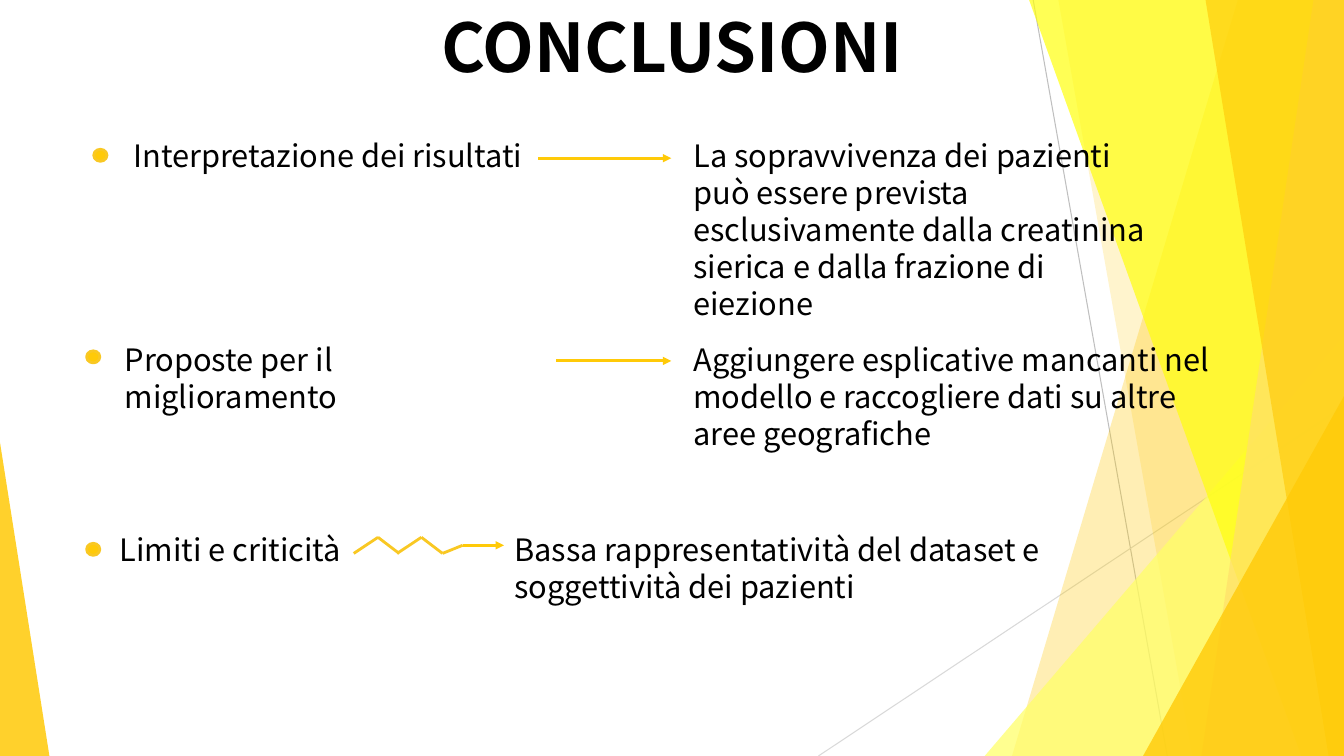
from lxml.etree import SubElement
from pptx import Presentation
from pptx.dml.color import RGBColor
from pptx.enum.shapes import MSO_CONNECTOR, MSO_SHAPE
from pptx.enum.text import MSO_ANCHOR, MSO_AUTO_SIZE, PP_ALIGN
from pptx.oxml.ns import qn
from pptx.util import Pt

BLACK = RGBColor(0, 0, 0)
WHITE = RGBColor(0xFF, 0xFF, 0xFF)
GOLD = RGBColor(0xFF, 0xCA, 0x08)
AMBER = RGBColor(0xF9, 0xC8, 0x23)
SAND = RGBColor(0xFF, 0xDF, 0x6B)
LEMON = RGBColor(0xFF, 0xFF, 0x66)
YELLOW = RGBColor(0xFF, 0xFF, 0x0D)
GREY = RGBColor(0xBF, 0xBF, 0xBF)
PALE_GREY = RGBColor(0xD9, 0xD9, 0xD9)
FONT = "Noto Sans CJK KR"
WIDTH, HEIGHT = 960, 540

# Slanted bands: top left x, bottom left x, colour, opacity in percent
BACK_BANDS = [(884.2, 722.9, GOLD, 30), (756, 851.8, GOLD, 20)]
FRONT_BANDS = [
    (735.1, 929.5, YELLOW, 70),
    (938.2, 858.2, SAND, 70),
    (861.1, 949, GOLD, 65),
]
# Text, left, top, width, height
TEXTS = [
    ("Interpretazione dei risultati", 88.3, 94.3, 296, 34),
    ("La sopravvivenza dei pazienti può essere prevista esclusivamente "
     "dalla creatinina sierica e dalla frazione di eiezione", 488.2, 94.3, 355.7, 114),
    ("Proposte per il miglioramento", 82, 239.8, 316, 34),
    ("Aggiungere esplicative mancanti nel modello e raccogliere dati "
     "su altre aree geografiche", 488.2, 239.8, 383, 87),
    ("Limiti e criticità", 78.5, 375.8, 185, 34),
    ("Bassa rappresentatività del dataset e soggettività dei pazienti",
     360.3, 375.8, 414, 60.5),
]
BULLETS = [(67, 106.6), (61.9, 250.6), (61.9, 388.1)]
ARROWS = [(384.5, 113, 479.5), (397.4, 257.8, 479.5), (330.5, 389.5, 360)]
ZIGZAG = [
    ((252.7, 395.3), (270, 383.8)),
    ((270, 383.8), (285.1, 395.3)),
    ((283.7, 395.3), (301, 383.8)),
    ((301, 383.8), (316.1, 395.3)),
    ((316.1, 395.3), (330.5, 389.5)),
]


def paint(shape, color, opacity=100):
    shape.shadow.inherit = False
    shape.fill.solid()
    shape.fill.fore_color.rgb = color
    shape.line.fill.background()
    if opacity < 100:
        tint = shape.fill._xPr.find(qn("a:solidFill"))[0]
        SubElement(tint, qn("a:alpha")).set("val", str(opacity * 1000))


def add_band(page, top_x, bottom_x, color, opacity):
    builder = page.shapes.build_freeform(Pt(top_x), 0)
    corners = [(WIDTH, 0), (WIDTH, HEIGHT), (bottom_x, HEIGHT)]
    builder.add_line_segments([(Pt(x), Pt(y)) for x, y in corners])
    paint(builder.convert_to_shape(), color, opacity)


def add_triangle(page, left, width, height, apex, color, opacity):
    """Add a triangle standing on the bottom edge; apex runs from 0 to 1."""
    triangle = page.shapes.add_shape(
        MSO_SHAPE.ISOSCELES_TRIANGLE,
        Pt(left), Pt(HEIGHT - height), Pt(width), Pt(height))
    triangle.adjustments[0] = apex
    paint(triangle, color, opacity)


def add_line(page, start, end, color, weight=2, arrow=False):
    line = page.shapes.add_connector(
        MSO_CONNECTOR.STRAIGHT, *(Pt(value) for value in (*start, *end)))
    line.line.color.rgb = color
    line.line.width = Pt(weight)
    if arrow:
        SubElement(line.line._get_or_add_ln(), qn("a:tailEnd")).set("type", "triangle")
    SubElement(line._element.spPr, qn("a:effectLst"))


def add_bullet(page, left, top):
    dot = page.shapes.add_shape(
        MSO_SHAPE.FLOWCHART_CONNECTOR, Pt(left), Pt(top), Pt(9.4), Pt(8.6))
    paint(dot, GOLD)
    dot.line.color.rgb = AMBER
    dot.line.width = Pt(2)


def write(box, text, size, bold=False, align=PP_ALIGN.LEFT):
    frame = box.text_frame
    frame.word_wrap = True
    frame.auto_size = MSO_AUTO_SIZE.NONE
    frame.vertical_anchor = MSO_ANCHOR.TOP
    para = frame.paragraphs[0]
    para.alignment = align
    span = para.add_run()
    span.text = text
    formats = {"name": FONT, "size": Pt(size), "bold": bold}
    for key, value in formats.items():
        setattr(span.font, key, value)
    span.font.color.rgb = BLACK


def add_title(page, text):
    title = page.shapes.title
    place = {"left": 211.7, "top": 0, "width": 537, "height": 65.5}
    for key, value in place.items():
        setattr(title, key, Pt(value))
    write(title, text, 48, True, PP_ALIGN.CENTER)


def add_text(page, text, *place):
    write(page.shapes.add_textbox(*(Pt(value) for value in place)), text, 22)


def add_backdrop(page):
    page.background.fill.solid()
    page.background.fill.fore_color.rgb = WHITE
    add_line(page, (738, 0), (833.8, HEIGHT), GREY, 0.75)
    add_line(page, (WIDTH, 290.2), (584.6, HEIGHT), PALE_GREY, 0.75)
    for band in BACK_BANDS:
        add_band(page, *band)
    add_triangle(page, 703.4, 256.6, 300.2, 1, LEMON, 72)
    for band in FRONT_BANDS:
        add_band(page, *band)
    add_triangle(page, 816.5, 143.5, 257, 1, GOLD, 80)
    add_triangle(page, 0, 35.3, 223.9, 0, GOLD, 85)


def main():
    deck = Presentation()
    deck.slide_width, deck.slide_height = Pt(WIDTH), Pt(HEIGHT)
    page = deck.slides.add_slide(deck.slide_layouts[5])
    add_backdrop(page)
    add_title(page, "CONCLUSIONI")
    for text in TEXTS:
        add_text(page, *text)
    for bullet in BULLETS:
        add_bullet(page, *bullet)
    for start, end in ZIGZAG:
        add_line(page, start, end, AMBER)
    for left, top, right in ARROWS:
        add_line(page, (left, top), (right, top), GOLD, arrow=True)
    deck.save("out.pptx")


if __name__ == "__main__":
    main()
